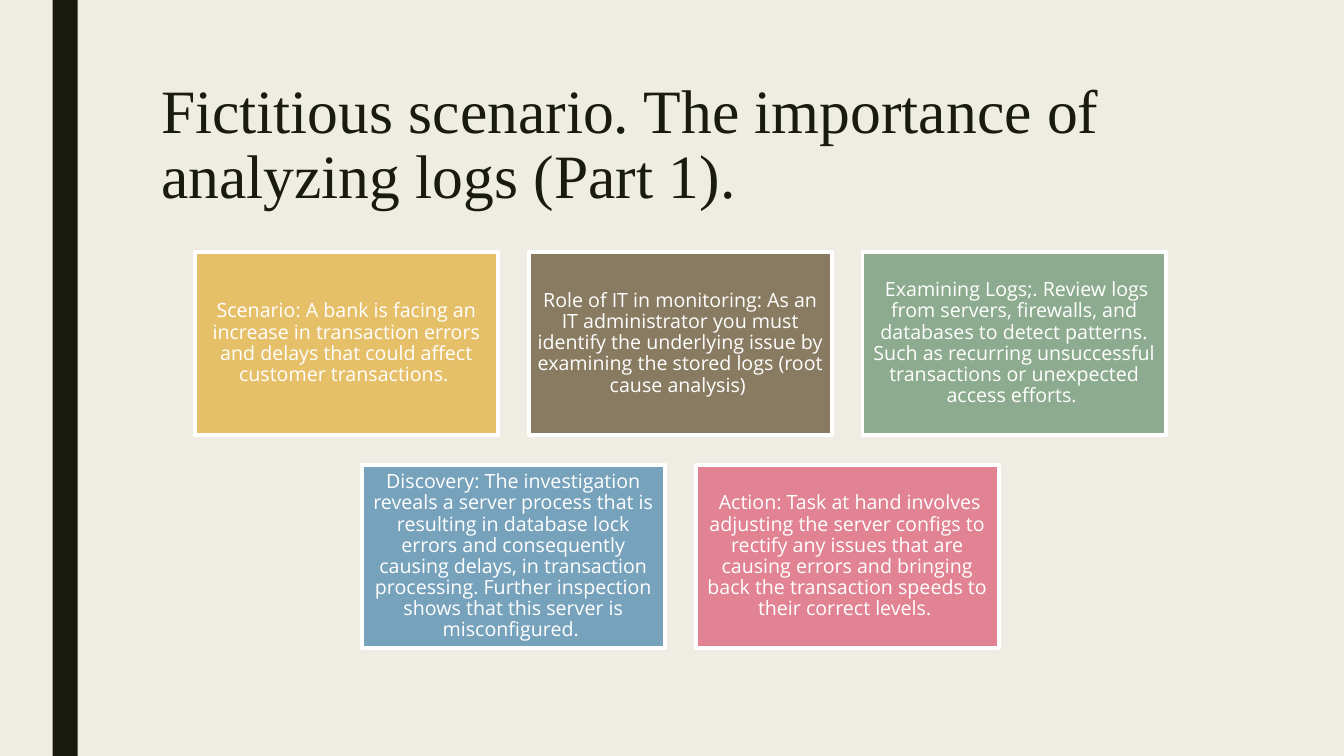
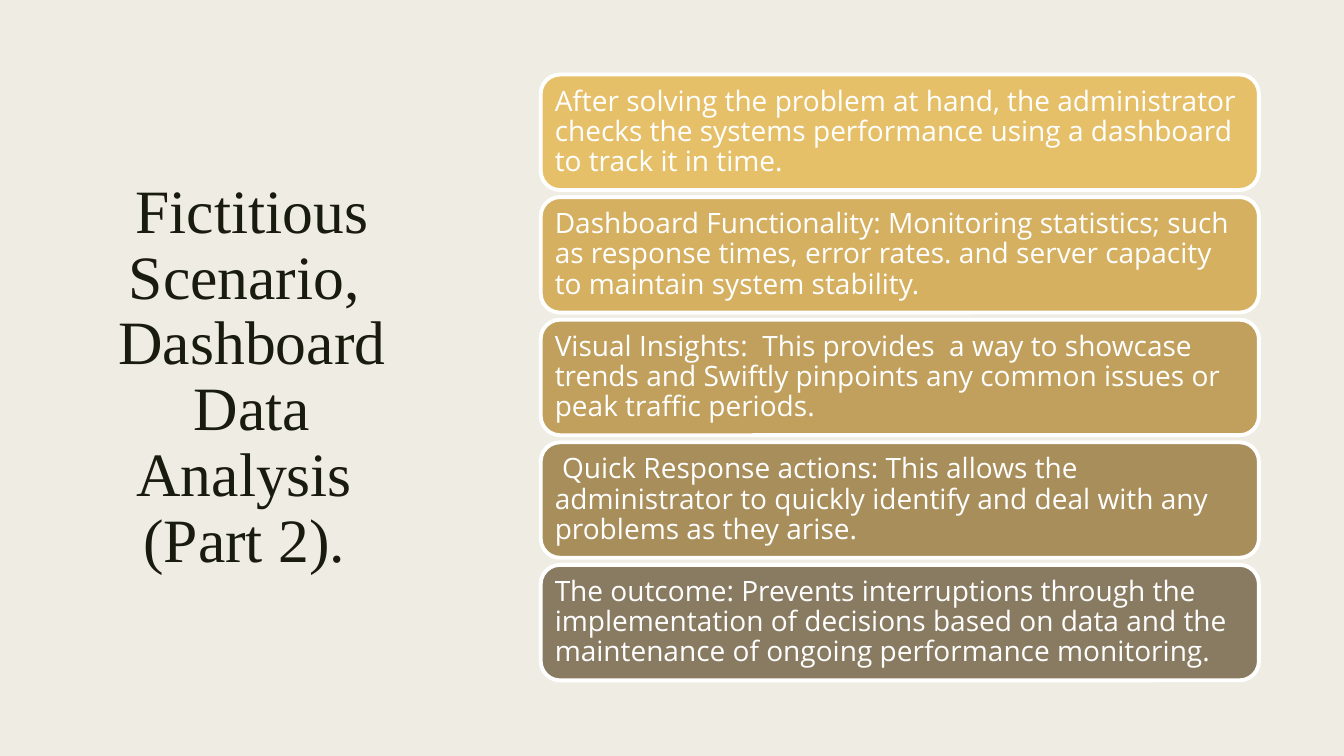
from pptx import Presentation
from pptx import util as u
from pptx.dml.color import RGBColor
from pptx.enum import shapes, text

PX = 9525  # EMU per pixel, 96 pixels to the inch
SLIDE_WIDTH, SLIDE_HEIGHT = 1280, 720

CREAM = RGBColor(0xEF, 0xED, 0xE3)
INK = RGBColor(0x19, 0x1B, 0x0E)
WHITE = RGBColor(0xFF, 0xFF, 0xFF)
GOLD = RGBColor(0xE6, 0xC0, 0x69)
AMBER = RGBColor(0xD5, 0xB0, 0x61)
OCHRE = RGBColor(0xC0, 0xA0, 0x5C)
BRONZE = RGBColor(0xA8, 0x8E, 0x5B)
TAUPE = RGBColor(0x89, 0x7B, 0x61)
GREEN = RGBColor(0x8D, 0xAB, 0x8E)
BLUE = RGBColor(0x77, 0xA2, 0xBB)
PINK = RGBColor(0xE2, 0x83, 0x94)

TITLE_FONT, BODY_FONT = "Times New Roman", "Open Sans"
LEFT, CENTER = text.PP_ALIGN.LEFT, text.PP_ALIGN.CENTER
TOP, MIDDLE = text.MSO_ANCHOR.TOP, text.MSO_ANCHOR.MIDDLE
RECTANGLE = shapes.MSO_SHAPE.RECTANGLE
ROUNDED = shapes.MSO_SHAPE.ROUNDED_RECTANGLE

CARD_WIDTH, CARD_HEIGHT, CARD_GAP = 289, 174, 29
CARDS_CENTER, CARDS_TOP = 648, 240
BAR_LEFT, BAR_WIDTH, BAR_HEIGHT = 515, 684, 110
BARS_TOP, BARS_BOTTOM = 71, 648

CARD_ROWS = [
    [
        (GOLD, "Scenario: A bank is facing an increase in transaction errors and "
               "delays that could affect customer transactions. "),
        (TAUPE, "Role of IT in monitoring: As an IT administrator you must identify "
                "the underlying issue by examining the stored logs (root cause analysis) "),
        (GREEN, " Examining Logs;. Review logs from servers, firewalls, and databases "
                "to detect patterns. Such as recurring unsuccessful transactions or "
                "unexpected access efforts. "),
    ],
    [
        (BLUE, "Discovery: The investigation reveals a server process that is resulting "
               "in database lock errors and consequently causing delays, in transaction "
               "processing. Further inspection shows that this server is misconfigured. "),
        (PINK, " Action: Task at hand involves adjusting the server configs to rectify "
               "any issues that are causing errors and bringing back the transaction "
               "speeds to their correct levels. "),
    ],
]

BARS = [
    (GOLD, "After solving the problem at hand‚ the administrator checks the systems "
           "performance using a dashboard to track it in time."),
    (AMBER, "Dashboard Functionality: Monitoring statistics; such as response times, "
            "error rates. and server capacity to maintain system stability."),
    (OCHRE, "Visual Insights:  This provides  a way to showcase trends and Swiftly "
            "pinpoints any common issues or peak traffic periods."),
    (BRONZE, " Quick Response actions: This allows the administrator to quickly identify "
             "and deal with any problems as they arise."),
    (TAUPE, "The outcome: Prevents interruptions through the implementation of decisions "
            "based on data and the maintenance of ongoing performance monitoring."),
]


def emu(*lengths):
    return [u.Emu(round(length * PX)) for length in lengths]


def add_blank_slide(presentation):
    return presentation.slides.add_slide(presentation.slide_layouts[6])


def write_text(shape, wording, font, size, color, align, anchor, spacing):
    frame = shape.text_frame
    frame.word_wrap = True
    frame.vertical_anchor = anchor
    paragraph = frame.paragraphs[0]
    paragraph.alignment = align
    paragraph.line_spacing = spacing
    run = paragraph.add_run()
    run.text = wording
    run.font.name = font
    run.font.size = u.Pt(size)
    run.font.color.rgb = color


def add_title(slide, box, wording, align, anchor):
    shape = slide.shapes.add_textbox(*emu(*box))
    write_text(shape, wording, TITLE_FONT, 44, INK, align, anchor, 0.89)


def add_block(slide, kind, box, fill):
    """Add a filled shape without outline or shadow."""
    shape = slide.shapes.add_shape(kind, *emu(*box))
    shape.shadow.inherit = False
    shape.fill.solid()
    shape.fill.fore_color.rgb = fill
    shape.line.fill.background()
    return shape


def add_panel(slide, kind, box, fill, wording, size, align, inset):
    """Add a white-edged block that holds white text."""
    shape = add_block(slide, kind, box, fill)
    shape.line.color.rgb = WHITE
    shape.line.width = u.Pt(2.75)
    frame = shape.text_frame
    frame.margin_left, frame.margin_top, frame.margin_right, frame.margin_bottom = emu(*[inset] * 4)
    write_text(shape, wording, BODY_FONT, size, WHITE, align, MIDDLE, 0.9)


def add_card_rows(slide):
    """Lay out the cards in rows that share one centre line."""
    for row, cards in enumerate(CARD_ROWS):
        row_width = len(cards) * (CARD_WIDTH + CARD_GAP) - CARD_GAP
        top = CARDS_TOP + row * (CARD_HEIGHT + CARD_GAP)
        for column, (fill, wording) in enumerate(cards):
            left = CARDS_CENTER - row_width / 2 + column * (CARD_WIDTH + CARD_GAP)
            box = (left, top, CARD_WIDTH, CARD_HEIGHT)
            add_panel(slide, RECTANGLE, box, fill, wording, 14, CENTER, 6)


def add_bars(slide):
    """Spread the bars evenly between the top and bottom limits."""
    step = (BARS_BOTTOM - BARS_TOP - BAR_HEIGHT) / (len(BARS) - 1)
    for index, (fill, wording) in enumerate(BARS):
        box = (BAR_LEFT, BARS_TOP + index * step, BAR_WIDTH, BAR_HEIGHT)
        add_panel(slide, ROUNDED, box, fill, wording, 20, LEFT, 8)


def main():
    presentation = Presentation()
    presentation.slide_width, presentation.slide_height = emu(SLIDE_WIDTH, SLIDE_HEIGHT)
    background = presentation.slide_master.background.fill
    background.solid()
    background.fore_color.rgb = CREAM

    scenario = add_blank_slide(presentation)
    add_block(scenario, RECTANGLE, (50, 0, 24, SLIDE_HEIGHT), INK)
    add_title(scenario, (144, 72, 1008, 156),
              "Fictitious scenario. The importance of analyzing logs (Part 1).", LEFT, TOP)
    add_card_rows(scenario)

    dashboard = add_blank_slide(presentation)
    add_title(dashboard, (67, 67, 346, 586),
              "Fictitious Scenario,  Dashboard Data Analysis  (Part 2). ", CENTER, MIDDLE)
    add_bars(dashboard)

    presentation.save("out.pptx")


if __name__ == "__main__":
    main()
